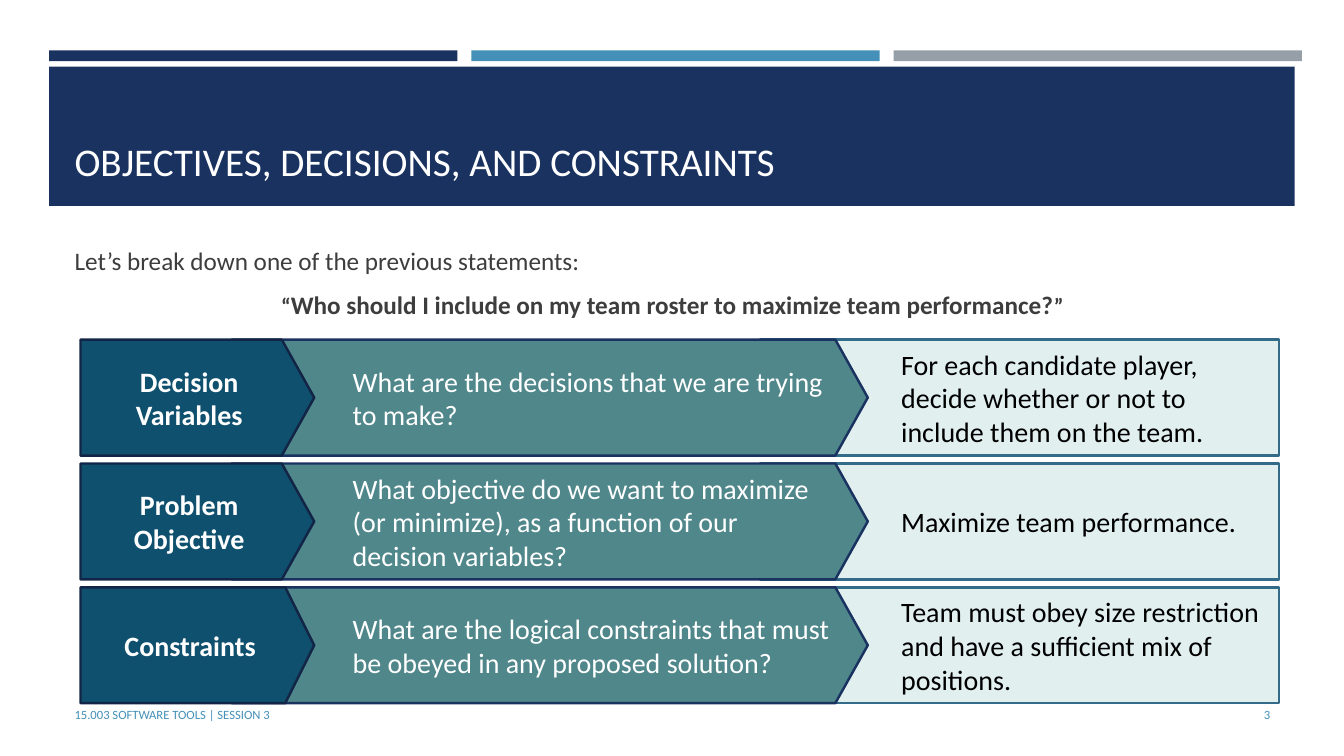
"""Build the slide that breaks a statement into decisions, objective and constraints."""
from lxml import etree
from pptx import Presentation
from pptx.dml.color import RGBColor
from pptx.enum.shapes import MSO_SHAPE
from pptx.enum.text import MSO_ANCHOR, PP_ALIGN
from pptx.oxml.ns import qn
from pptx.util import Cm, Pt

RECTANGLE, ARROW = MSO_SHAPE.RECTANGLE, MSO_SHAPE.PENTAGON
TOP, MIDDLE, BOTTOM = MSO_ANCHOR.TOP, MSO_ANCHOR.MIDDLE, MSO_ANCHOR.BOTTOM
LEFT, CENTER, RIGHT = PP_ALIGN.LEFT, PP_ALIGN.CENTER, PP_ALIGN.RIGHT

COLORS = {
    "navy": "1A3260", "blue": "4590B8", "gray": "969FA7", "white": "FFFFFF",
    "black": "000000", "text": "3D3D3D", "mint": "C4E2E1", "mint line": "336B88",
    "teal": "50878B", "petrol": "0F506E", "petrol line": "132547",
}
TITLE = "OBJECTIVES, DECISIONS, AND CONSTRAINTS"
INTRO = "Let’s break down one of the previous statements:"
STATEMENT = "Who should I include on my team roster to maximize team performance?"
FOOTER = "15.003 SOFTWARE TOOLS | SESSION 3"
PAGE_NUMBER = "3"
ROWS = [
    ("Decision Variables",
     "What are the decisions that we are trying to make?",
     "For each candidate player, decide whether or not to include them on the team."),
    ("Problem Objective",
     "What objective do we want to maximize (or minimize), as a function of our decision variables?",
     "Maximize team performance."),
    ("Constraints",
     "What are the logical constraints that must be obeyed in any proposed solution?",
     "Team must obey size restriction and have a sufficient mix of positions."),
]
LABEL_POINTS = [0.28, 0.28, 0.25]
QUESTION_POINT = 0.28
QUESTION_INSETS = [(3.05, 0.13, 0.25, 0.13), (3.05, 0.25, 0.51, 0.25), (3.05, 0.25, 0.51, 0.25)]
ANSWER_INSETS = (3.56, 0.13, 0.25, 0.13)
DEFAULT_INSETS = (0.25, 0.13, 0.25, 0.13)
ROW_TOP, ROW_STEP, ROW_HEIGHT = 8.56, 3.12, 2.92
BAR_COLORS = ["navy", "blue", "gray"]
BAR_LEFT, BAR_STEP, BAR_WIDTH = 1.24, 10.64, 10.29
MARGIN, TEXT_WIDTH, FOOTER_TOP = 1.63, 30.63, 17.5


def set_values(target, values):
    """Set each attribute of the target from a dict."""
    for name, value in values.items():
        setattr(target, name, value)


def add_span(para, text, size, color, bold=False):
    """Append one formatted run."""
    span = para.add_run()
    span.text = text
    set_values(span.font, {"name": "Calibri", "size": Pt(size), "bold": bold})
    span.font.color.rgb = RGBColor.from_string(COLORS[color])


def set_frame(box, anchor, insets=DEFAULT_INSETS):
    """Set wrapping, anchor and insets, and return the text frame."""
    left, top, right, bottom = map(Cm, insets)
    set_values(box.text_frame, {
        "word_wrap": True, "vertical_anchor": anchor, "margin_left": left,
        "margin_top": top, "margin_right": right, "margin_bottom": bottom,
    })
    return box.text_frame


def add_text(page, place, text, size, color, anchor=MIDDLE, align=LEFT):
    """Add a text box with one paragraph and return its frame."""
    frame = set_frame(page.shapes.add_textbox(*map(Cm, place)), anchor)
    frame.paragraphs[0].alignment = align
    add_span(frame.paragraphs[0], text, size, color)
    return frame


def add_block(page, kind, place, fill, line=None):
    """Add a filled shape, outlined when a line colour is given."""
    block = page.shapes.add_shape(kind, *map(Cm, place))
    block.shadow.inherit = False
    block.fill.solid()
    block.fill.fore_color.rgb = RGBColor.from_string(COLORS[fill])
    if line:
        block.line.color.rgb = RGBColor.from_string(COLORS[line])
        block.line.width = Pt(1.75)
    else:
        block.line.fill.background()
    return block


def fill_block(block, text, color, insets=DEFAULT_INSETS, align=LEFT, bold=False):
    """Write the text of a row block."""
    para = set_frame(block, MIDDLE, insets).paragraphs[0]
    para.alignment = align
    add_span(para, text, 20, color, bold)


def add_row(page, index, label, question, answer):
    """Add the answer, question and label blocks of one row."""
    top = ROW_TOP + index * ROW_STEP
    block = add_block(page, RECTANGLE, (19.15, top, 13.08, ROW_HEIGHT), "mint", "mint line")
    tint = block.fill._xPr.find(qn("a:solidFill"))[0]
    etree.SubElement(tint, qn("a:alpha")).set("val", "50000")
    fill_block(block, answer, "black", ANSWER_INSETS)

    block = add_block(page, ARROW, (5.84, top, 16.03, ROW_HEIGHT), "teal", "navy")
    block.adjustments[0] = QUESTION_POINT
    fill_block(block, question, "white", QUESTION_INSETS[index])

    block = add_block(page, ARROW, (2.03, top, 5.89, ROW_HEIGHT), "petrol", "petrol line")
    block.adjustments[0] = LABEL_POINTS[index]
    fill_block(block, label, "white", align=CENTER, bold=True)


def main():
    """Build and save the deck."""
    deck = Presentation()
    set_values(deck, {"slide_width": Cm(33.87), "slide_height": Cm(19.05)})
    page = deck.slides.add_slide(deck.slide_layouts[6])

    for index, color in enumerate(BAR_COLORS):
        add_block(page, RECTANGLE, (BAR_LEFT + index * BAR_STEP, 1.27, BAR_WIDTH, 0.27), color)
    add_block(page, RECTANGLE, (BAR_LEFT, 1.68, 31.39, 3.51), "navy")
    add_text(page, (MARGIN, 1.96, TEXT_WIDTH, 2.82), TITLE, 28, "white", BOTTOM)

    body = add_text(page, (MARGIN, 6.05, TEXT_WIDTH, 10.21), INTRO, 18, "text", TOP)
    body.paragraphs[0].space_after = Pt(6)
    para = body.add_paragraph()
    set_values(para, {"alignment": CENTER, "space_before": Pt(3.6), "space_after": Pt(6)})
    for text, size in [("“", 16), (STATEMENT, 18), ("”", 16)]:
        add_span(para, text, size, "text", True)

    for index, row in enumerate(ROWS):
        add_row(page, index, *row)

    add_text(page, (MARGIN, FOOTER_TOP, 19.2, 1.02), FOOTER, 9, "blue")
    add_text(page, (29.34, FOOTER_TOP, 2.92, 1.02), PAGE_NUMBER, 9, "blue", align=RIGHT)
    deck.save("out.pptx")


if __name__ == "__main__":
    main()
